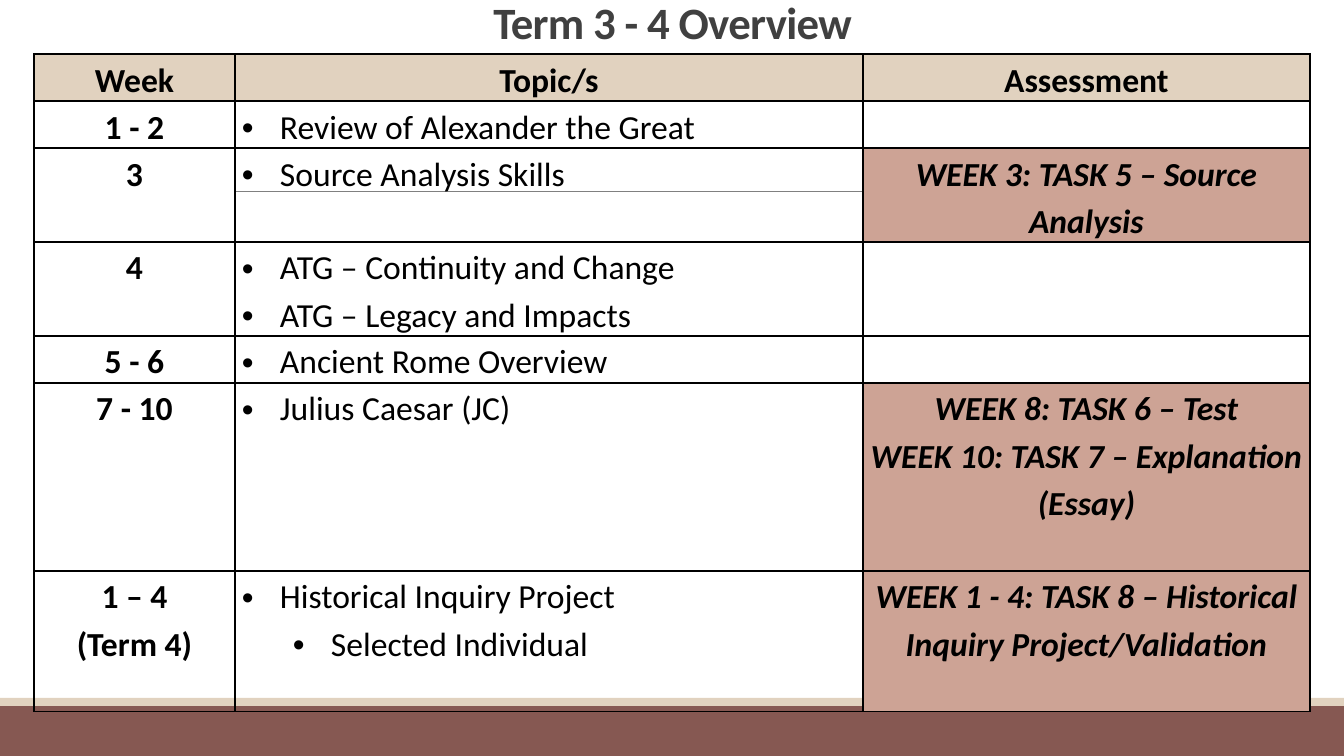
from lxml import etree
from pptx import Presentation
from pptx.dml.color import RGBColor
from pptx.enum.shapes import MSO_CONNECTOR, MSO_SHAPE
from pptx.enum.text import MSO_ANCHOR, PP_ALIGN
from pptx.oxml import parse_xml
from pptx.oxml.ns import nsdecls, qn
from pptx.util import Pt

RECTANGLE = MSO_SHAPE.RECTANGLE
STRAIGHT = MSO_CONNECTOR.STRAIGHT
CENTER = PP_ALIGN.CENTER
LEFT = PP_ALIGN.LEFT
BOTTOM = MSO_ANCHOR.BOTTOM

PX = 914400 / 100.8
THEME = {
    "font": "Calibri",
    "title_size": 32,
    "body_size": 24,
    "title": "404040",
    "text": "000000",
    "border": "000000",
    "rule": "808080",
    "brown": "865852",
    "sand": "E1D2BF",
    "rose": "CDA395",
    "white": "FFFFFF",
}


def px(value):
    return round(value * PX)


def write(frame, lines, size=THEME["body_size"], color=THEME["text"], bold=False,
          italic=False, align=LEFT, spacing=1.15, tracking=None, bullets=False):
    """Fill a text frame; each line is a string or a (string, level) pair."""
    for index, line in enumerate(lines):
        text, level = line if isinstance(line, tuple) else (line, 0)
        paragraph = frame.paragraphs[0] if index == 0 else frame.add_paragraph()
        paragraph.alignment = align
        paragraph.line_spacing = spacing
        paragraph.level = level
        if bullets:
            properties = paragraph._p.get_or_add_pPr()
            properties.set("marL", str(px(38 + 51 * level)))
            properties.set("indent", str(px(-38)))
            etree.SubElement(properties, qn("a:buFont"), typeface="Arial")
            etree.SubElement(properties, qn("a:buChar"), char="•")
        run = paragraph.add_run()
        run.text = text
        run.font.name = THEME["font"]
        run.font.size = Pt(size)
        run.font.bold = bold
        run.font.italic = italic
        run.font.color.rgb = RGBColor.from_string(color)
        if tracking is not None:
            run._r.get_or_add_rPr().set("spc", str(tracking))


presentation = Presentation()
presentation.slide_width = px(1344)
presentation.slide_height = px(756)
slide = presentation.slides.add_slide(presentation.slide_layouts[6])

# Footer bands
for top, height, color in ((706, 50, "brown"), (698, 8, "sand")):
    band = slide.shapes.add_shape(RECTANGLE, 0, px(top), px(1344), px(height))
    band.shadow.inherit = False
    band.fill.solid()
    band.fill.fore_color.rgb = RGBColor.from_string(THEME[color])
    band.line.fill.background()

# Thin rule behind the table
rule = slide.shapes.add_connector(STRAIGHT, px(132), px(191), px(1231), px(191))
rule.line.color.rgb = RGBColor.from_string(THEME["rule"])
rule.line.width = Pt(0.5)
etree.SubElement(rule._element.spPr, qn("a:effectLst"))

# Title
title = slide.shapes.add_textbox(px(118), 0, px(1109), px(54))
title.text_frame.word_wrap = True
title.text_frame.vertical_anchor = BOTTOM
write(title.text_frame, ["Term 3 - 4 Overview"], size=THEME["title_size"],
      color=THEME["title"], bold=True, align=CENTER, spacing=0.85, tracking=-50)

# Overview table: height in lines, weeks, topics, assessments, fills
HEADER_FILLS = ("sand", "sand", "sand")
ROWS = [
    (1, ["Week"], ["Topic/s"], ["Assessment"], HEADER_FILLS),
    (1, ["1 - 2"], ["Review of Alexander the Great"], [], ("white", None, None)),
    (2, ["3"], ["Source Analysis Skills"], ["WEEK 3: TASK 5 – Source Analysis"],
     ("white", None, "rose")),
    (2, ["4"], ["ATG – Continuity and Change", "ATG – Legacy and Impacts"], [],
     ("white", None, None)),
    (1, ["5 - 6"], ["Ancient Rome Overview"], [], (None, None, None)),
    (4, ["7 - 10"], ["Julius Caesar (JC)"],
     ["WEEK 8: TASK 6 – Test", "WEEK 10: TASK 7 – Explanation (Essay)"],
     (None, None, "rose")),
    (3, ["1 – 4", "(Term 4)"],
     ["Historical Inquiry Project", ("Selected Individual", 1)],
     ["WEEK 1 - 4: TASK 8 – Historical Inquiry Project/Validation"],
     (None, None, "rose")),
]
COLUMN_WIDTHS = (201, 628, 447)
LINE_HEIGHT = 47

line_count = sum(row[0] for row in ROWS)
table = slide.shapes.add_table(
    len(ROWS), len(COLUMN_WIDTHS), px(34), px(54),
    px(sum(COLUMN_WIDTHS)), px(line_count * LINE_HEIGHT)).table
table.first_row = False
table.horz_banding = False
for column, width in zip(table.columns, COLUMN_WIDTHS):
    column.width = px(width)

for row_index, (lines, weeks, topics, assessments, fills) in enumerate(ROWS):
    table.rows[row_index].height = px(lines * LINE_HEIGHT)
    header = row_index == 0
    formats = (
        {"bold": True, "align": CENTER},
        {"bold": header, "align": CENTER if header else LEFT, "bullets": not header},
        {"bold": True, "italic": not header, "align": CENTER},
    )
    contents = (weeks, topics, assessments)
    for column_index, (content, style, fill) in enumerate(zip(contents, formats, fills)):
        cell = table.cell(row_index, column_index)
        cell.margin_left = cell.margin_right = px(7)
        cell.margin_top = cell.margin_bottom = 0
        for side in ("lnL", "lnR", "lnT", "lnB"):
            cell._tc.get_or_add_tcPr().append(parse_xml(
                f'<a:{side} {nsdecls("a")} w="{Pt(1)}"><a:solidFill>'
                f'<a:srgbClr val="{THEME["border"]}"/></a:solidFill></a:{side}>'))
        if fill:
            cell.fill.solid()
            cell.fill.fore_color.rgb = RGBColor.from_string(THEME[fill])
        else:
            cell.fill.background()
        write(cell.text_frame, content, **style)

presentation.save("out.pptx")
